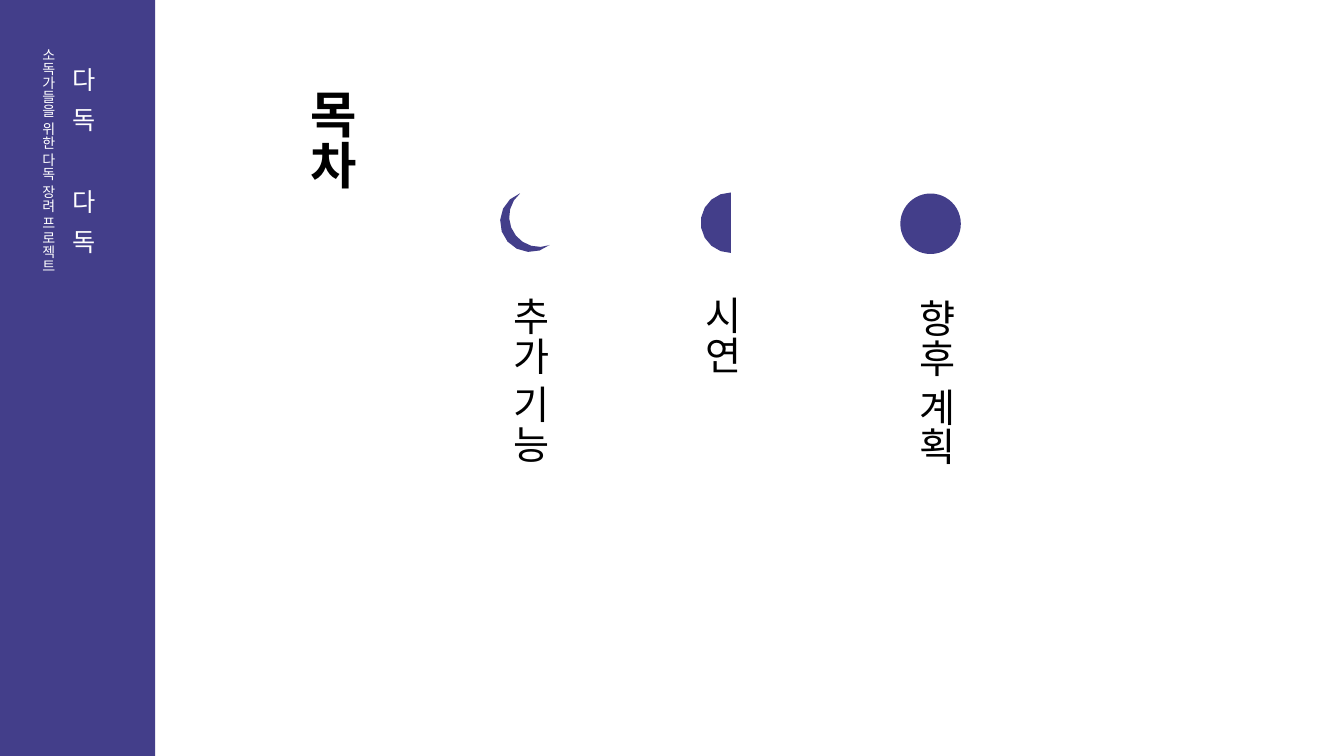
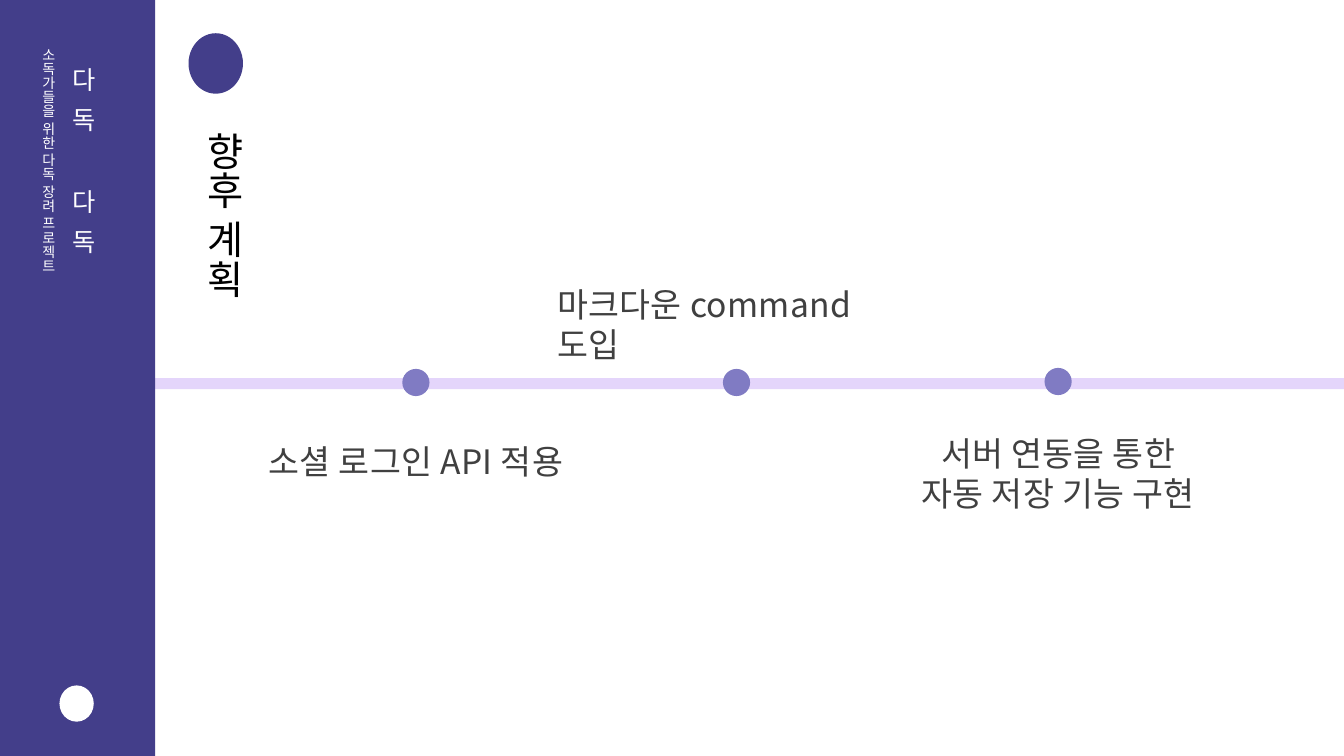
from math import cos, radians, sin

from lxml.etree import SubElement
from pptx import Presentation
from pptx.dml.color import RGBColor
from pptx.enum.shapes import MSO_SHAPE
from pptx.enum.text import MSO_AUTO_SIZE, PP_ALIGN
from pptx.oxml.ns import qn
from pptx.util import Inches, Pt

INDIGO = RGBColor(0x43, 0x3E, 0x8A)
VIOLET = RGBColor(0x80, 0x7B, 0xC3)
LILAC = RGBColor(0xE4, 0xD5, 0xFB)
GRAY = RGBColor(0x40, 0x40, 0x40)
BLACK = RGBColor(0, 0, 0)
WHITE = RGBColor(0xFF, 0xFF, 0xFF)
FONT = "Noto Sans CJK KR"
LINE_HEIGHT = 1.19
TRACKING = 0.01
MOON_RADIUS = 0.3


def add_text(paragraph, text, size=28, color=BLACK, bold=False, spacing=None):
    """Append a run; spacing is the extra room after each letter, in points."""
    run = paragraph.add_run()
    run.text = text
    run.font.size = Pt(size)
    run.font.bold = bold
    run.font.color.rgb = color
    run.font.name = FONT
    properties = run._r.get_or_add_rPr()
    SubElement(properties, qn("a:ea"), typeface=FONT)
    if spacing is None:
        spacing = size * TRACKING
    properties.set("spc", str(round(spacing * 100)))


def arc(center_x, center_y, start, end, steps=9):
    """Points on a moon-sized circle, angles in degrees clockwise from the right."""
    angles = [radians(start + (end - start) * step / steps) for step in range(steps + 1)]
    return [(center_x + MOON_RADIUS * cos(angle), center_y + MOON_RADIUS * sin(angle))
            for angle in angles]


class Deck:
    def __init__(self):
        self.presentation = Presentation()
        self.presentation.slide_width = Inches(13.33)
        self.presentation.slide_height = Inches(7.5)
        self.slide = None

    def new_slide(self):
        self.slide = self.presentation.slides.add_slide(self.presentation.slide_layouts[6])

    def paint(self, shape, color):
        shape.shadow.inherit = False
        shape.fill.solid()
        shape.fill.fore_color.rgb = color
        shape.line.fill.background()

    def shape(self, kind, left, top, width, height, color):
        shape = self.slide.shapes.add_shape(
            kind, Inches(left), Inches(top), Inches(width), Inches(height))
        self.paint(shape, color)

    def outline(self, points, color):
        corners = [(Inches(x), Inches(y)) for x, y in points]
        builder = self.slide.shapes.build_freeform(*corners[0])
        builder.add_line_segments(corners[1:], close=True)
        self.paint(builder.convert_to_shape(), color)

    def text_box(self, left, top, width, height, lines, align=PP_ALIGN.LEFT,
                 vertical=False, size=28, **text_format):
        """Each line is a string, or a list of (text, letter spacing) pairs."""
        box = self.slide.shapes.add_textbox(
            Inches(left), Inches(top), Inches(width), Inches(height))
        frame = box.text_frame
        frame.word_wrap = True
        frame.auto_size = MSO_AUTO_SIZE.SHAPE_TO_FIT_TEXT
        if vertical:
            box.element.txBody.bodyPr.set("vert", "eaVert")
        for index, line in enumerate(lines):
            paragraph = frame.add_paragraph() if index else frame.paragraphs[0]
            paragraph.alignment = align
            paragraph.line_spacing = Pt(size * LINE_HEIGHT)
            pieces = [(line, None)] if isinstance(line, str) else line
            for text, spacing in pieces:
                add_text(paragraph, text, size=size, spacing=spacing, **text_format)

    def side_band(self):
        self.shape(MSO_SHAPE.RECTANGLE, 0, 0, 1.54, 7.5, INDIGO)
        word = ("다 독", 3.4)
        self.text_box(0.52, 0.57, 0.5, 2.74, [[word, (" ", 32.6), word]],
                      vertical=True, size=18, color=WHITE)
        self.text_box(0.24, 0.38, 0.37, 2.49, ["소독가들을 위한 다독 장려 프로젝트"],
                      align=PP_ALIGN.CENTER, vertical=True, size=10, color=WHITE)


def build_contents(deck):
    deck.new_slide()
    deck.side_band()
    deck.text_box(2.83, 0.79, 0.81, 1.85, ["목차"], vertical=True, size=36, bold=True)

    crescent = arc(5.26, 2.2, 250, 50) + arc(5.35, 2.15, 70, 230)
    deck.outline(crescent, INDIGO)
    deck.outline(arc(7.25, 2.21, 90, 270), INDIGO)
    deck.shape(MSO_SHAPE.OVAL, 8.93, 1.92, 0.6, 0.6, INDIGO)

    for left, top, height, label in [(4.87, 2.85, 2.72, "추가 기능"),
                                     (6.77, 2.84, 3.31, "시연"),
                                     (8.89, 2.87, 3.15, "향후 계획")]:
        deck.text_box(left, top, 0.67, height, [label], vertical=True)


def build_plan(deck):
    deck.new_slide()
    deck.shape(MSO_SHAPE.RECTANGLE, 1.53, 3.75, 11.8, 0.11, LILAC)
    deck.side_band()
    deck.shape(MSO_SHAPE.OVAL, 1.87, 0.33, 0.54, 0.6, INDIGO)
    deck.shape(MSO_SHAPE.OVAL, 0.59, 6.8, 0.34, 0.36, WHITE)
    deck.text_box(1.83, 1.21, 0.67, 3.15, ["향후 계획"], vertical=True)

    deck.text_box(1.96, 4.33, 4.33, 0.5, ["소셜 로그인 API 적용"],
                  align=PP_ALIGN.CENTER, size=24, color=GRAY)
    deck.text_box(5.43, 2.77, 3.76, 0.9, ["마크다운 command 도입"], size=24, color=GRAY)
    deck.text_box(8.98, 4.25, 3.03, 0.91, ["서버 연동을 통한", "자동 저장 기능 구현"],
                  align=PP_ALIGN.CENTER, size=24, color=GRAY)
    for left, top in [(3.99, 3.66), (7.17, 3.66), (10.36, 3.65)]:
        deck.shape(MSO_SHAPE.OVAL, left, top, 0.27, 0.27, VIOLET)


def main():
    deck = Deck()
    build_contents(deck)
    build_plan(deck)
    deck.presentation.save("out.pptx")


if __name__ == "__main__":
    main()
